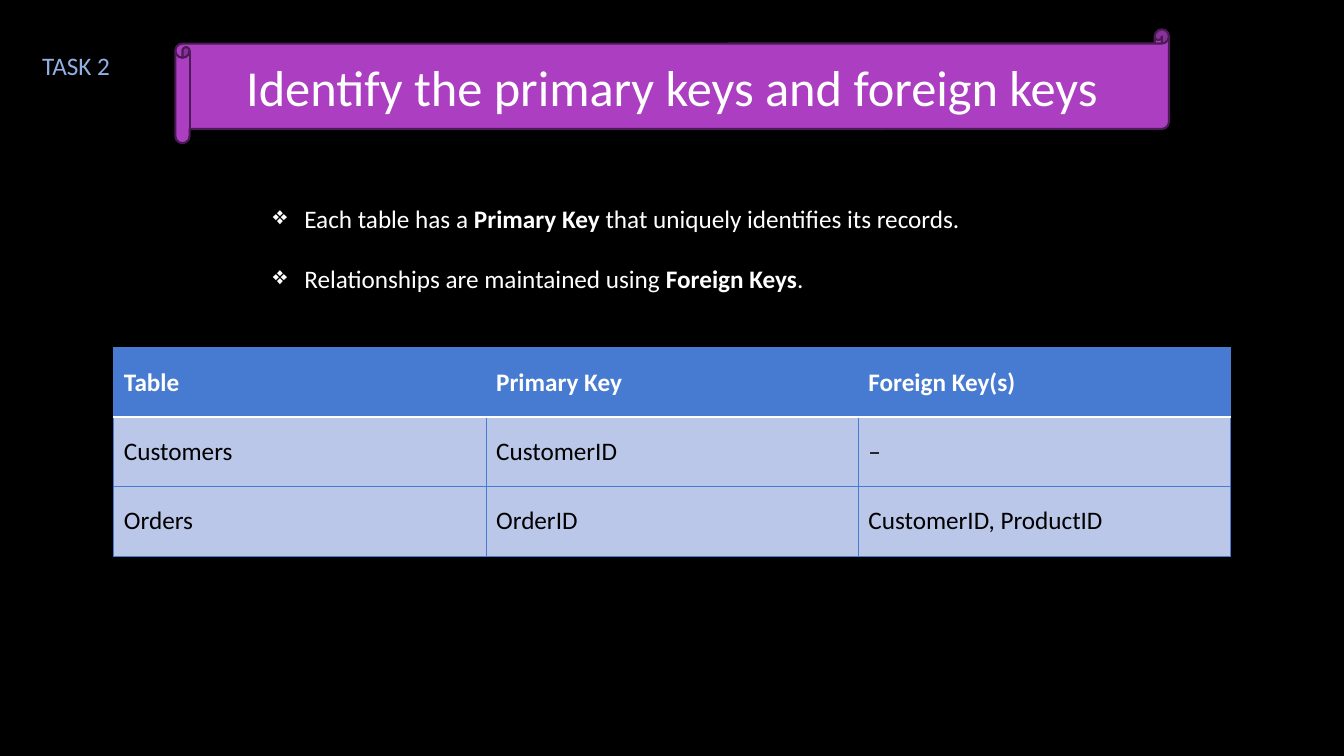
from dataclasses import dataclass

import pptx
import pptx.dml.color
import pptx.enum.shapes
import pptx.enum.text
import pptx.oxml
import pptx.oxml.ns
import pptx.util
from pptx.util import Cm, Pt


@dataclass(frozen=True)
class Theme:
    font: str = "Calibri"
    title_size: int = 36
    body_size: int = 18
    background: str = "000000"
    light: str = "FFFFFF"
    dark: str = "000000"
    task: str = "91B0E3"
    scroll: str = "AC3EC1"
    scroll_line: str = "4B1B55"
    header: str = "477BD1"
    row: str = "BAC7E9"


THEME = Theme()
BULLETS = [
    [("Each table has a ", False), ("Primary Key", True),
     (" that uniquely identifies its records.", False)],
    [("Relationships are maintained using ", False), ("Foreign Keys", True),
     (".", False)],
]
KEYS = [
    ("Table", "Primary Key", "Foreign Key(s)"),
    ("Customers", "CustomerID", "–"),
    ("Orders", "OrderID", "CustomerID, ProductID"),
]


def rgb(color):
    return pptx.dml.color.RGBColor.from_string(color)


def fill_solid(fill, color):
    fill.solid()
    fill.fore_color.rgb = rgb(color)


def add_run(p, text, color, size=THEME.body_size, bold=False):
    r = p.add_run()
    r.text = text
    r.font.name = THEME.font
    r.font.size = Pt(size)
    r.font.bold = bold
    r.font.color.rgb = rgb(color)


def add_text_frame(s, x, y, w, h):
    tf = s.shapes.add_textbox(Cm(x), Cm(y), Cm(w), Cm(h)).text_frame
    tf.word_wrap = True
    return tf


def set_bullet(p, char, indent):
    pPr = p._p.get_or_add_pPr()
    pPr.set("marL", str(indent))
    pPr.set("indent", str(-indent))
    pPr.append(pptx.oxml.parse_xml(
        f'<a:buChar {pptx.oxml.ns.nsdecls("a")} char="{char}"/>'))


def set_border(cell, side, color, width):
    """Draw one side (L, R, T or B); call in that order, before the fill."""
    cell._tc.get_or_add_tcPr().append(pptx.oxml.parse_xml(
        f'<a:ln{side} {pptx.oxml.ns.nsdecls("a")} w="{Pt(width)}">'
        f'<a:solidFill><a:srgbClr val="{color}"/></a:solidFill></a:ln{side}>'))


def add_task_label(s, x, y, w, h):
    tf = add_text_frame(s, x, y, w, h)
    add_run(tf.paragraphs[0], "TASK 2", THEME.task)


def add_title_scroll(s, x, y, w, h):
    box = Cm(x), Cm(y), Cm(w), Cm(h)
    scroll = s.shapes.add_shape(
        pptx.enum.shapes.MSO_SHAPE.HORIZONTAL_SCROLL, *box)
    scroll.shadow.inherit = False
    fill_solid(scroll.fill, THEME.scroll)
    scroll.line.color.rgb = rgb(THEME.scroll_line)
    scroll.line.width = Pt(1.5)

    title = s.shapes.title
    title.left, title.top, title.width, title.height = box
    scroll._element.addnext(title._element)  # text in front of the scroll
    tf = title.text_frame
    tf.word_wrap = True
    tf.auto_size = pptx.enum.text.MSO_AUTO_SIZE.NONE
    tf.vertical_anchor = pptx.enum.text.MSO_ANCHOR.MIDDLE
    p = tf.paragraphs[0]
    p.alignment = pptx.enum.text.PP_ALIGN.CENTER
    add_run(p, "Identify the primary keys and foreign keys",
            THEME.light, THEME.title_size)


def add_bullets(s, x, y, w, h):
    tf = add_text_frame(s, x, y, w, h)
    for i, runs in enumerate(BULLETS):
        p = tf.add_paragraph() if i else tf.paragraphs[0]
        if i:
            p.space_before = Pt(21)
        set_bullet(p, "❖", Cm(0.79))
        for text, bold in runs:
            add_run(p, text, THEME.light, bold=bold)


def add_key_table(s, x, y, w, h):
    table = s.shapes.add_table(len(KEYS), len(KEYS[0]),
                               Cm(x), Cm(y), Cm(w), Cm(h)).table
    table.horz_banding = False
    for i, row in enumerate(KEYS):
        is_header = i == 0
        for j, text in enumerate(row):
            cell = table.cell(i, j)
            cell.vertical_anchor = pptx.enum.text.MSO_ANCHOR.MIDDLE
            for side in "LRTB":
                under_header = (i, side) in ((0, "B"), (1, "T"))
                set_border(cell, side,
                           THEME.light if under_header else THEME.header,
                           1.5 if under_header else 0.75)
            fill_solid(cell.fill, THEME.header if is_header else THEME.row)
            add_run(cell.text_frame.paragraphs[0], text,
                    THEME.light if is_header else THEME.dark, bold=is_header)


def add_keys_slide(prs):
    s = prs.slides.add_slide(prs.slide_layouts.get_by_name("Title Only"))
    fill_solid(s.background.fill, THEME.background)
    add_key_table(s, 2.87, 8.76, 28.14, 5.25)
    add_bullets(s, 6.63, 5, 20.6, 2.57)
    add_title_scroll(s, 4.42, 0.74, 25.04, 2.87)
    add_task_label(s, 0.81, 1.14, 2.97, 1.02)


def main():
    prs = pptx.Presentation()
    prs.slide_width, prs.slide_height = Cm(33.87), Cm(19.05)
    add_keys_slide(prs)
    prs.save("out.pptx")


if __name__ == "__main__":
    main()
